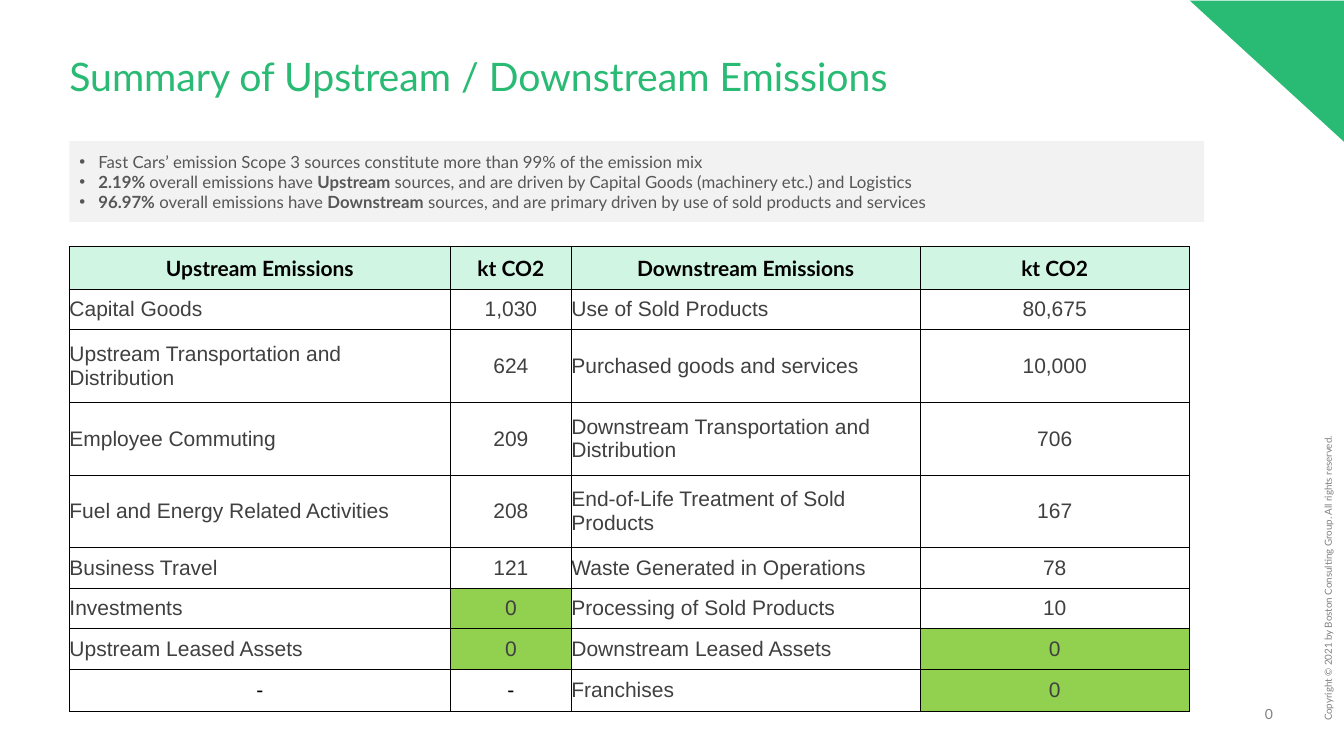
from dataclasses import dataclass

from lxml import etree
from pptx import Presentation
from pptx.dml.color import RGBColor
from pptx.enum.shapes import MSO_SHAPE
from pptx.enum.text import MSO_ANCHOR, PP_ALIGN
from pptx.oxml.ns import qn
from pptx.util import Cm, Pt

TRIANGLE, RECTANGLE = MSO_SHAPE.ISOSCELES_TRIANGLE, MSO_SHAPE.RECTANGLE
TOP, MIDDLE, BOTTOM = MSO_ANCHOR.TOP, MSO_ANCHOR.MIDDLE, MSO_ANCHOR.BOTTOM
LEFT, CENTER, RIGHT = PP_ALIGN.LEFT, PP_ALIGN.CENTER, PP_ALIGN.RIGHT


@dataclass(frozen=True)
class Theme:
    font: str = "Lato"
    table_font: str = "Arial"
    green: str = "29BA74"
    header_fill: str = "D1F5E3"
    zero_fill: str = "92D050"
    panel: str = "F2F2F2"
    body: str = "575757"
    cell: str = "404040"
    muted: str = "808080"
    black: str = "000000"
    title_size: float = 28
    table_size: float = 15
    body_size: float = 12
    page_size: float = 10
    copyright_size: float = 7
    outer_line: float = 1
    inner_line: float = 0.5


TAKEAWAYS = [
    "Fast Cars’ emission Scope 3 sources constitute more than 99% of the emission mix",
    "**2.19% **overall emissions have **Upstream** sources, and are driven by "
    "Capital Goods (machinery etc.) and Logistics",
    "**96.97%** overall emissions have **Downstream** sources, and are primary "
    "driven by use of sold products and services",
]
EMISSIONS = [
    ("Upstream Emissions", "kt CO2", "Downstream Emissions", "kt CO2"),
    ("Capital Goods", "1,030", "Use of Sold Products", "80,675"),
    ("Upstream Transportation and Distribution", "624",
     "Purchased goods and services", "10,000"),
    ("Employee Commuting", "209",
     "Downstream Transportation and Distribution", "706"),
    ("Fuel and Energy Related Activities", "208",
     "End-of-Life Treatment of Sold Products", "167"),
    ("Business Travel", "121", "Waste Generated in Operations", "78"),
    ("Investments", "0", "Processing of Sold Products", "10"),
    ("Upstream Leased Assets", "0", "Downstream Leased Assets", "0"),
    ("-", "-", "Franchises", "0"),
]
COLUMN_WIDTHS = [9.6, 3.05, 8.79, 6.78]
EDGE_ROW, SINGLE_ROW, DOUBLE_ROW = 1.07, 1.02, 1.83
ROW_HEIGHTS = [EDGE_ROW, SINGLE_ROW] + [DOUBLE_ROW] * 3 + [SINGLE_ROW] * 3 + [EDGE_ROW]


class SlideBuilder:
    def __init__(self, slide, theme):
        self.s = slide
        self.theme = theme

    def style(self, font, size, color, bold=False, name=None):
        font.name = name or self.theme.font
        font.size = Pt(size)
        font.bold = bold
        font.color.rgb = RGBColor.from_string(color)

    def text(self, box, text, size, color, align=LEFT, anchor=TOP, spacing=1.0, rotation=0):
        sp = self.s.shapes.add_textbox(*map(Cm, box))
        sp.rotation = rotation
        tf = sp.text_frame
        tf.word_wrap = True
        tf.vertical_anchor = anchor
        tf.margin_left = tf.margin_right = tf.margin_top = tf.margin_bottom = 0
        tf.text = text
        p = tf.paragraphs[0]
        p.alignment = align
        p.line_spacing = spacing
        self.style(p.runs[0].font, size, color)

    def shape(self, kind, box, fill):
        sp = self.s.shapes.add_shape(kind, *map(Cm, box))
        sp.shadow.inherit = False
        sp.fill.solid()
        sp.fill.fore_color.rgb = RGBColor.from_string(fill)
        sp.line.fill.background()
        return sp

    def corner(self, box):
        sp = self.shape(TRIANGLE, box, self.theme.green)
        sp.adjustments[0] = 1
        sp.rotation = 270

    def bullet_panel(self, box, lines):
        """Draw a filled panel of bullets; text between ** marks is bold."""
        tf = self.shape(RECTANGLE, box, self.theme.panel).text_frame
        tf.word_wrap = True
        tf.vertical_anchor = MIDDLE
        for i, line in enumerate(lines):
            p = tf.add_paragraph() if i else tf.paragraphs[0]
            p.alignment = LEFT
            pPr = p._p.get_or_add_pPr()
            pPr.set("marL", str(Cm(0.48)))
            pPr.set("indent", str(-Cm(0.48)))
            etree.SubElement(pPr, qn("a:buFont"), typeface="Arial")
            etree.SubElement(pPr, qn("a:buChar"), char="•")
            for part, text in enumerate(line.split("**")):
                if text:
                    r = p.add_run()
                    r.text = text
                    self.style(r.font, self.theme.body_size, self.theme.body, part % 2 == 1)

    def borders(self, cell, outer):
        """Line all four sides, heavier on those in outer (letters of LRTB)."""
        t = self.theme
        tcPr = cell._tc.get_or_add_tcPr()
        for side in "LRTB":
            width = t.outer_line if side in outer else t.inner_line
            ln = etree.SubElement(tcPr, qn(f"a:ln{side}"), w=str(Pt(width)))
            fill = etree.SubElement(ln, qn("a:solidFill"))
            etree.SubElement(fill, qn("a:srgbClr"), val=t.black)

    def cell(self, cell, text, header, number, outer):
        t = self.theme
        cell.margin_left = cell.margin_right = cell.margin_top = cell.margin_bottom = 0
        cell.vertical_anchor = MIDDLE
        self.borders(cell, outer)
        fill = t.header_fill if header else t.zero_fill if text == "0" else None
        if fill:
            cell.fill.solid()
            cell.fill.fore_color.rgb = RGBColor.from_string(fill)
        else:
            cell.fill.background()
        cell.text_frame.text = text
        p = cell.text_frame.paragraphs[0]
        p.alignment = CENTER if header or number or text == "-" else LEFT
        self.style(p.runs[0].font, t.table_size,
                   t.black if header or text == "-" else t.cell,
                   header, t.font if header else t.table_font)

    def table(self, left, top, rows, widths, heights):
        box = (left, top, sum(widths), sum(heights))
        table = self.s.shapes.add_table(len(rows), len(widths), *map(Cm, box)).table
        table.first_row = table.horz_banding = False
        for column, width in zip(table.columns, widths):
            column.width = Cm(width)
        for row, height in zip(table.rows, heights):
            row.height = Cm(height)
        last_row, last_col = len(rows) - 1, len(widths) - 1
        for i, row in enumerate(rows):
            for j, text in enumerate(row):
                edges = {"L": j == 0, "R": j == last_col, "T": i == 0, "B": i == last_row}
                outer = [side for side, on_edge in edges.items() if on_edge]
                self.cell(table.cell(i, j), text, i == 0, j % 2 == 1, outer)


def main():
    prs = Presentation()
    prs.slide_width, prs.slide_height = Cm(33.87), Cm(19.05)
    theme = Theme()
    b = SlideBuilder(prs.slides.add_slide(prs.slide_layouts[6]), theme)
    margin = 1.75

    b.text((31.01, 17.78, 1.07, 0.43), "0", theme.page_size, theme.muted, RIGHT, BOTTOM)
    b.text((26.37, 10.9, 14.25, 0.28),
           "Copyright © 2021 by Boston Consulting Group. All rights reserved.",
           theme.copyright_size, theme.muted, spacing=0.9, rotation=270)
    b.text((margin, 1.45, 30.38, 1.7), "Summary of Upstream / Downstream Emissions",
           theme.title_size, theme.green, spacing=0.9)
    b.corner((30.15, -0.15, 3.56, 3.89))
    b.bullet_panel((margin, 3.56, 28.6, 2.03), TAKEAWAYS)
    b.table(margin, 6.22, EMISSIONS, COLUMN_WIDTHS, ROW_HEIGHTS)
    prs.save("out.pptx")


if __name__ == "__main__":
    main()
